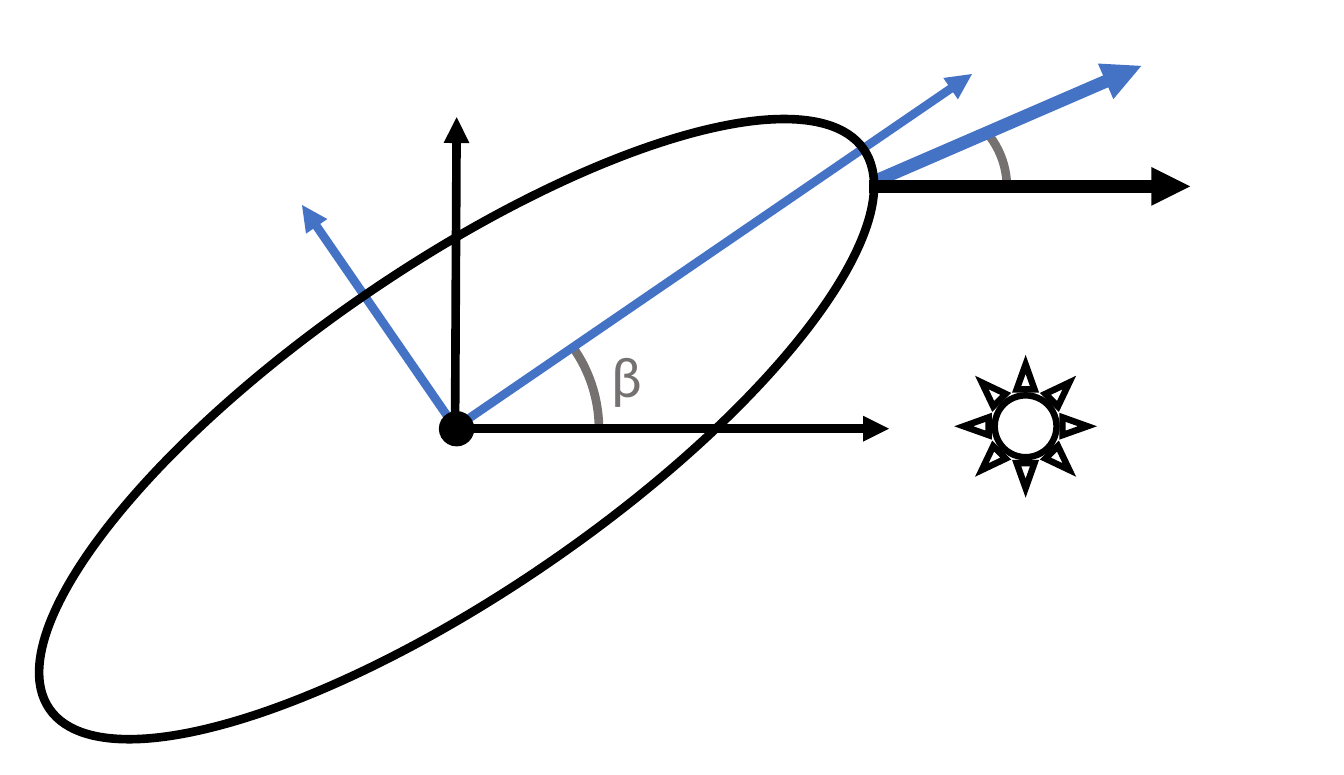
import pptx
import pptx.util
import pptx.dml.color
import pptx.enum.shapes
import pptx.oxml
import pptx.oxml.ns

Cm = pptx.util.Cm
Pt = pptx.util.Pt
SHAPES = pptx.enum.shapes.MSO_SHAPE
NAMESPACE = pptx.oxml.ns.nsdecls("a")
COLORS = {"body": "4472C4", "inertial": "000000", "angle": "767171"}

presentation = pptx.Presentation()
presentation.slide_width = Cm(1651) // 100
presentation.slide_height = Cm(381) // 40
slide = presentation.slides.add_slide(presentation.slide_layouts[6])


def add_outline(kind, left, top, width, height, color, weight):
    shape = slide.shapes.add_shape(kind, Cm(left), Cm(top), Cm(width), Cm(height))
    shape.shadow.inherit = False
    shape.fill.background()
    shape.line.color.rgb = pptx.dml.color.RGBColor.from_string(COLORS[color])
    shape.line.width = Pt(weight)
    shape.line._get_or_add_ln().append(
        pptx.oxml.parse_xml(f'<a:miter {NAMESPACE} lim="800000"/>'))
    return shape


def add_arrow(start, end, color, weight):
    arrow = slide.shapes.add_connector(
        pptx.enum.shapes.MSO_CONNECTOR.STRAIGHT,
        Cm(start[0]), Cm(start[1]), Cm(end[0]), Cm(end[1]))
    arrow.line.color.rgb = pptx.dml.color.RGBColor.from_string(COLORS[color])
    arrow.line.width = Pt(weight)
    line = arrow.line._get_or_add_ln()
    line.append(pptx.oxml.parse_xml(f'<a:tailEnd {NAMESPACE} type="triangle"/>'))
    line.addnext(pptx.oxml.parse_xml(f'<a:effectLst {NAMESPACE}/>'))


for left, top, size, start_angle in [(10.31, 1.27, 2.06, 193.39), (3.86, 3.53, 3.5, 194.63)]:
    arc = add_outline(SHAPES.ARC, left, top, size, size, "angle", 3)
    arc.adjustments[0] = start_angle
    arc.adjustments[1] = 0

for start, end, weight in [
    ((10.72, 2.24), (14.02, 0.81), 4.5),
    ((5.56, 5.28), (11.94, 0.91), 3),
    ((5.61, 5.28), (3.71, 2.52), 3),
]:
    add_arrow(start, end, "body", weight)

ellipse = add_outline(SHAPES.OVAL, -0.46, 3.28, 12.14, 3.99, "inertial", 3)
ellipse.rotation = 325.5

for start, end, weight in [
    ((5.59, 5.27), (10.92, 5.27), 3),
    ((5.59, 5.27), (5.61, 1.44), 3),
    ((10.67, 2.29), (14.62, 2.29), 4.5),
]:
    add_arrow(start, end, "inertial", weight)

center = add_outline(SHAPES.OVAL, 5.41, 5.07, 0.4, 0.4, "inertial", 1)
center.fill.solid()
center.fill.fore_color.rgb = pptx.dml.color.RGBColor.from_string(COLORS["inertial"])

label = slide.shapes.add_textbox(Cm(7.26), Cm(4.05), Cm(0.76), Cm(1.12))
label.text_frame.word_wrap = True
label.text_frame.text = "β"
font = label.text_frame.paragraphs[0].runs[0].font
font.name = "Calibri"
font.size = Pt(20)
font.color.rgb = pptx.dml.color.RGBColor.from_string(COLORS["angle"])

add_outline(SHAPES.SUN, 11.84, 4.48, 1.52, 1.52, "inertial", 2.25)

presentation.save("out.pptx")
